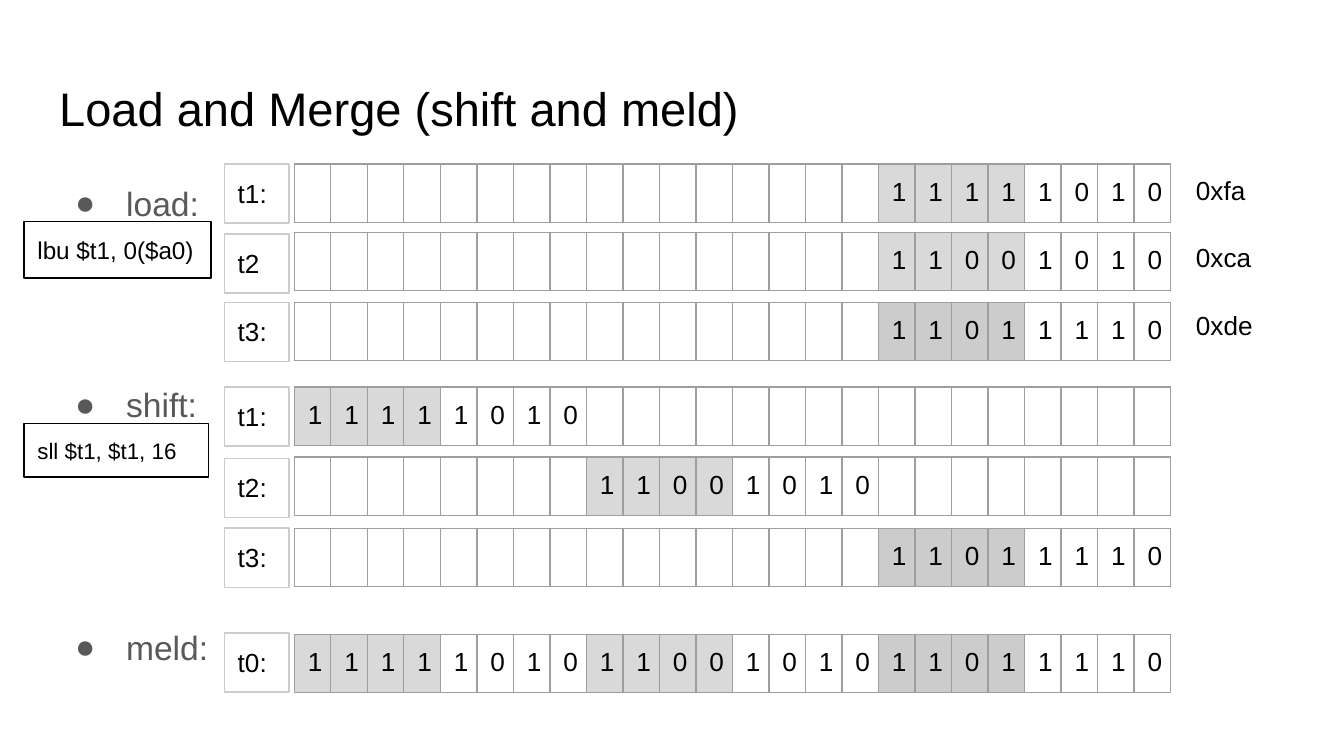
from dataclasses import dataclass

from lxml import etree
from pptx import Presentation
from pptx.dml.color import RGBColor
from pptx.enum import shapes, text
from pptx.oxml import ns
from pptx.util import Inches, Pt


@dataclass(frozen=True)
class Theme:
    font: str = "Arial"
    ink: str = "000000"
    grey: str = "595959"
    grid: str = "9E9E9E"
    edge: str = "CCCCCC"
    light: str = "D9D9D9"
    dark: str = "CCCCCC"
    title: float = 25.2
    body: float = 18
    bit: float = 14
    load: float = 13
    shift: float = 12


@dataclass(frozen=True)
class Byte:
    start: int
    bits: str
    shade: str


@dataclass(frozen=True)
class Row:
    name: str
    top: float
    tag: float
    bytes: tuple[Byte, ...]


@dataclass(frozen=True)
class Box:
    words: str
    left: float
    top: float
    width: float
    height: float
    size: float
    line: str = ""


@dataclass(frozen=True)
class Step:
    words: str
    gap: float


LOOK = Theme()
COUNT = 24
FA, CA, DE = "11111010", "11001010", "11011110"
HIGH = Byte(0, FA, LOOK.light)
MID = Byte(8, CA, LOOK.light)
LOW = Byte(16, DE, LOOK.dark)

ROWS = (
    Row("t1:", 1.22, 1.22, (Byte(16, FA, LOOK.light),)),
    Row("t2", 1.73, 1.74, (Byte(16, CA, LOOK.light),)),
    Row("t3:", 2.25, 2.25, (LOW,)),
    Row("t1:", 2.88, 2.88, (HIGH,)),
    Row("t2:", 3.4, 3.41, (MID,)),
    Row("t3:", 3.93, 3.93, (LOW,)),
    Row("t0:", 4.72, 4.71, (HIGH, MID, LOW)),
)
STEPS = (Step("load:", 0), Step("shift:", 86.4), Step("meld:", 108.3))
CODES = (
    Box("lbu $t1, 0($a0)", 0.18, 1.65, 1.39, 0.42, LOOK.load, LOOK.ink),
    Box("sll $t1, $t1, 16", 0.18, 3.15, 1.37, 0.4, LOOK.shift, LOOK.ink),
)
HEXES = ("0xfa", "0xca", "0xde")


def add_run(para, words: str, size: float, color: str = LOOK.ink) -> None:
    run = para.add_run()
    run.text = words
    run.font.name = LOOK.font
    run.font.size = Pt(size)
    run.font.color.rgb = RGBColor.from_string(color)


def set_frame(frame) -> None:
    frame.word_wrap = True
    frame.margin_left = frame.margin_right = Inches(0.1)
    frame.margin_top = frame.margin_bottom = Inches(0.1)


def draw_title(slide, words: str) -> None:
    title = slide.shapes.title
    title.left, title.top = Inches(0.34), Inches(0.49)
    title.width, title.height = Inches(9.32), Inches(0.63)
    frame = title.text_frame
    set_frame(frame)
    frame.auto_size = text.MSO_AUTO_SIZE.NONE
    frame.vertical_anchor = text.MSO_ANCHOR.MIDDLE
    para = frame.paragraphs[0]
    para.alignment = text.PP_ALIGN.LEFT
    add_run(para, words, LOOK.title)


def add_dot(para) -> None:
    props = para._p.get_or_add_pPr()
    props.set("marL", str(Inches(0.5)))
    props.set("indent", str(Inches(-0.38)))
    color = etree.SubElement(props, ns.qn("a:buClr"))
    etree.SubElement(color, ns.qn("a:srgbClr"), val=LOOK.grey)
    etree.SubElement(props, ns.qn("a:buFont"), typeface=LOOK.font)
    etree.SubElement(props, ns.qn("a:buChar"), char="●")


def draw_steps(slide, steps: tuple[Step, ...]) -> None:
    body = slide.shapes.add_textbox(Inches(0.34), Inches(1.26), Inches(9.32), Inches(3.74))
    frame = body.text_frame
    set_frame(frame)
    for i, step in enumerate(steps):
        para = frame.add_paragraph() if i else frame.paragraphs[0]
        para.space_before = Pt(step.gap)
        add_dot(para)
        add_run(para, step.words, LOOK.body, LOOK.grey)


def draw_box(slide, box: Box) -> None:
    place = [Inches(n) for n in (box.left, box.top, box.width, box.height)]
    if box.line:
        shape = slide.shapes.add_shape(shapes.MSO_SHAPE.RECTANGLE, *place)
        shape.shadow.inherit = False
        shape.fill.background()
        shape.line.color.rgb = RGBColor.from_string(box.line)
        shape.line.width = Pt(0.75)
    else:
        shape = slide.shapes.add_textbox(*place)
    frame = shape.text_frame
    set_frame(frame)
    frame.auto_size = text.MSO_AUTO_SIZE.SHAPE_TO_FIT_TEXT
    frame.vertical_anchor = text.MSO_ANCHOR.TOP
    para = frame.paragraphs[0]
    para.alignment = text.PP_ALIGN.LEFT
    add_run(para, box.words, box.size)


def add_edges(cell) -> None:
    props = cell._tc.get_or_add_tcPr()
    for i, side in enumerate(("lnL", "lnR", "lnT", "lnB")):
        line = etree.Element(ns.qn(f"a:{side}"), w=str(Pt(0.75)))
        fill = etree.SubElement(line, ns.qn("a:solidFill"))
        etree.SubElement(fill, ns.qn("a:srgbClr"), val=LOOK.grid)
        props.insert(i, line)


def draw_row(slide, row: Row) -> None:
    wide, high = Inches(6.52), Inches(0.43)
    table = slide.shapes.add_table(1, COUNT, Inches(2.19), Inches(row.top), wide, high).table
    table.first_row = table.horz_banding = False
    for col in table.columns:
        col.width = wide // COUNT
    for cell in table.iter_cells():
        cell.margin_left = cell.margin_right = Inches(0.1)
        cell.margin_top = cell.margin_bottom = Inches(0)
        cell.fill.background()
        add_edges(cell)
    for byte in row.bytes:
        for i, bit in enumerate(byte.bits):
            cell = table.cell(0, byte.start + i)
            cell.margin_top = cell.margin_bottom = Inches(0.1)
            add_run(cell.text_frame.paragraphs[0], bit, LOOK.bit)
            if i < 4:
                cell.fill.solid()
                cell.fill.fore_color.rgb = RGBColor.from_string(byte.shade)
    draw_box(slide, Box(row.name, 1.67, row.tag, 0.48, 0.44, LOOK.bit, LOOK.edge))


def main() -> None:
    deck = Presentation()
    deck.slide_width = Inches(10)
    deck.slide_height = deck.slide_width * 9 // 16
    slide = deck.slides.add_slide(deck.slide_layouts[5])
    draw_title(slide, "Load and Merge (shift and meld)")
    draw_steps(slide, STEPS)
    for row in ROWS:
        draw_row(slide, row)
    for i, words in enumerate(HEXES):
        draw_box(slide, Box(words, 8.8, 1.2 + 0.5 * i, 1.27, 0.44, LOOK.bit))
    for code in CODES:
        draw_box(slide, code)
    deck.save("out.pptx")


if __name__ == "__main__":
    main()
